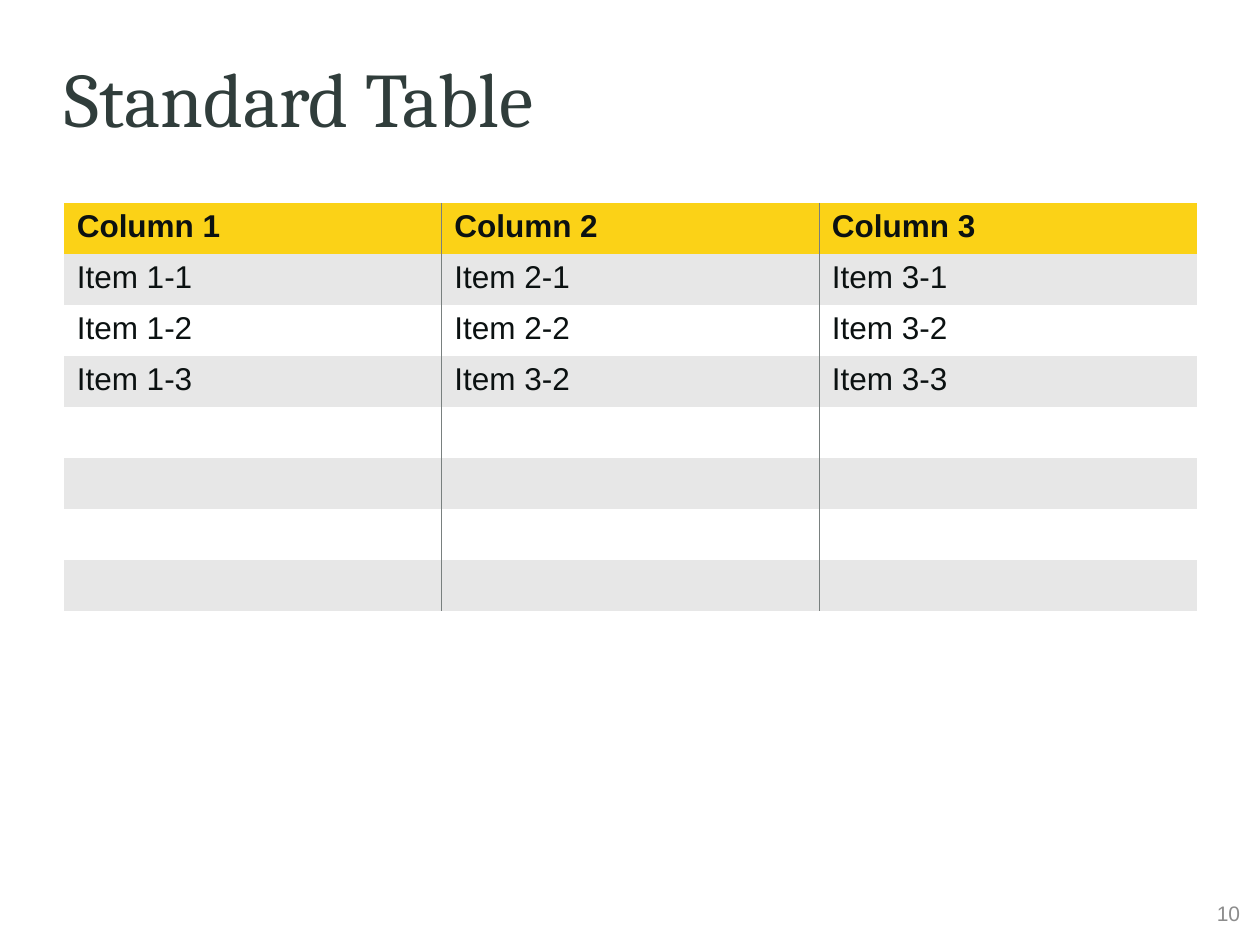
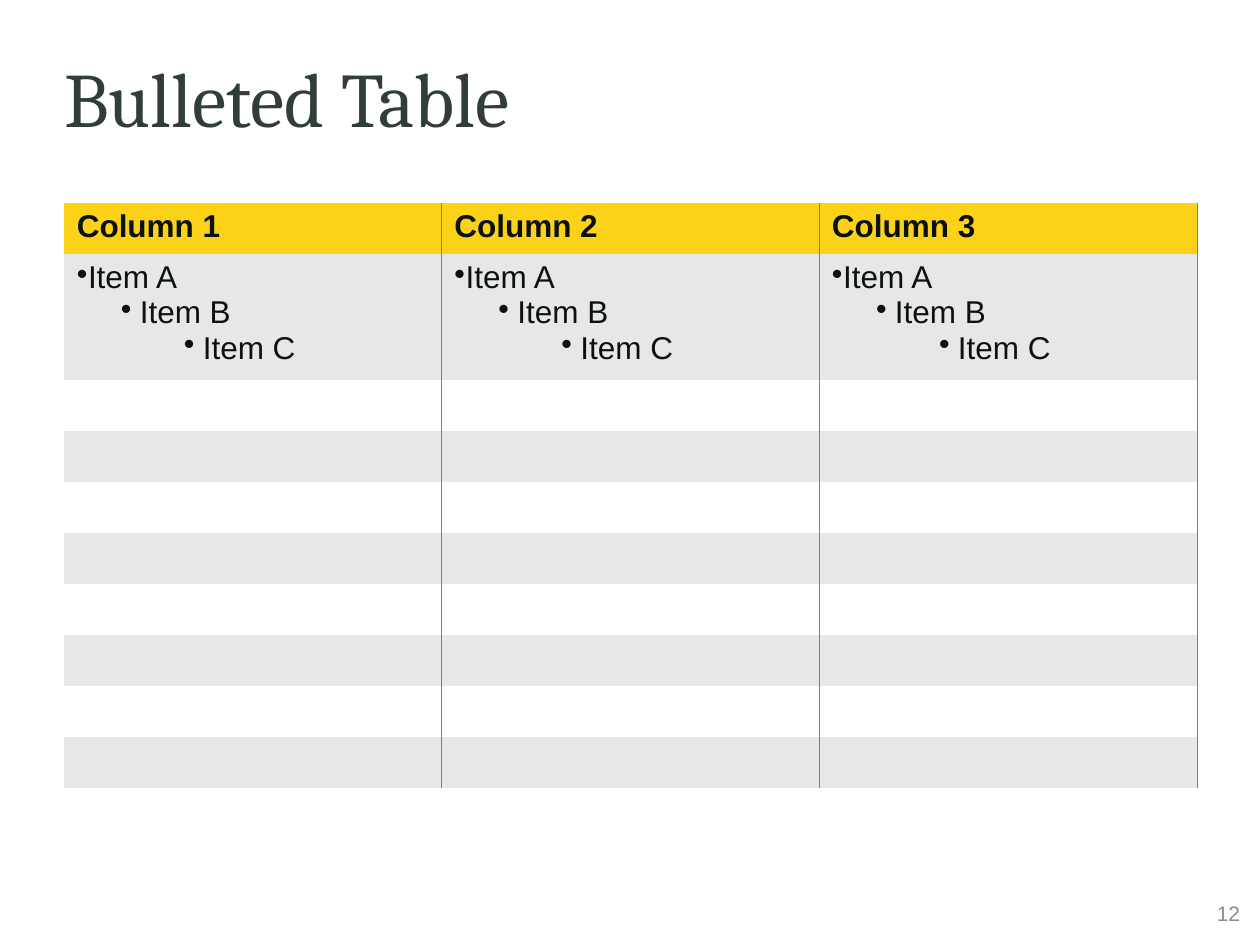
import collections

import lxml.etree
import pptx
import pptx.dml.color
import pptx.enum.text
import pptx.oxml.ns
import pptx.util

RGB = pptx.dml.color.RGBColor
INK = RGB(0x0B, 0x11, 0x11)
PINE = RGB(0x30, 0x3D, 0x3B)
GOLD = RGB(0xFB, 0xD2, 0x17)
SILVER = RGB(0xE7, 0xE7, 0xE7)
WHITE = RGB(0xFF, 0xFF, 0xFF)
GREY = RGB(0x8C, 0x8C, 0x8C)
RULE = RGB(0x79, 0x80, 0x7F)

HEAD_FONT, BODY_FONT = "Cambria", "Arial"
ALIGN = pptx.enum.text.PP_ALIGN
MIDDLE = pptx.enum.text.MSO_ANCHOR.MIDDLE
inch = pptx.util.Inches

WIDE, HIGH = 10, 7.5
LEFT, SPAN = 0.51, 8.99
Box = collections.namedtuple("Box", "x y w h")
TITLE = Box(LEFT, 0.27, SPAN, 1)
TABLE = Box(LEFT, 1.61, SPAN, 3.24)
FOOT = Box(WIDE - 0.5, HIGH - 0.5, 0.5, 0.5)
ROW = TABLE.h / 8
TALL = 0.94

HEADS = [f"Column {n}" for n in (1, 2, 3)]
ITEMS = [
    ["Item 1-1", "Item 2-1", "Item 3-1"],
    ["Item 1-2", "Item 2-2", "Item 3-2"],
    ["Item 1-3", "Item 3-2", "Item 3-3"],
]
# Text, outline level and left margin in inches
BULLETS = [("Item A", 0, 0), ("Item B", 3, 0.5), ("Item C", 5, 1)]
HANG = -0.15


def style(para, size, color, face=BODY_FONT, bold=False):
    font = para.font
    font.size, font.name, font.bold = pptx.util.Pt(size), face, bold
    font.color.rgb = color


def add_text(slide, box, text, size, color, face, align, inset):
    frame = slide.shapes.add_textbox(*map(inch, box)).text_frame
    frame.word_wrap = True
    frame.vertical_anchor = MIDDLE
    frame.margin_left = frame.margin_right = inch(inset)
    frame.margin_top = frame.margin_bottom = inch(inset / 2)
    para = frame.paragraphs[0]
    para.text, para.alignment = text, align
    style(para, size, color, face)


def add_page(deck, title, number):
    """Add a slide with its title and page number."""
    slide = deck.slides.add_slide(deck.slide_layouts[6])
    add_text(slide, FOOT, str(number), 12, GREY, BODY_FONT, ALIGN.CENTER, 0.1)
    add_text(slide, TITLE, title, 44, PINE, HEAD_FONT, ALIGN.LEFT, 0)
    return slide


def set_edges(cell, ruled):
    """Rule the sides named in ruled (of L, R, T, B) and clear the others."""
    props = cell._tc.get_or_add_tcPr()
    tag = pptx.oxml.ns.qn
    for place, side in enumerate("LRTB"):
        line = lxml.etree.Element(tag(f"a:ln{side}"), w=str(pptx.util.Pt(0.5)))
        props.insert(place, line)
        if side in ruled:
            fill = lxml.etree.SubElement(line, tag("a:solidFill"))
            lxml.etree.SubElement(fill, tag("a:srgbClr"), val=str(RULE))
        else:
            lxml.etree.SubElement(line, tag("a:noFill"))


def add_table(slide, box, heights, closed=False):
    """Draw the banded grid with its heads; closed rules the right edge too."""
    shape = slide.shapes.add_table(
        len(heights), len(HEADS), inch(box.x), inch(box.y),
        inch(box.w), inch(sum(heights)))
    table = shape.table
    last = len(HEADS) - 1
    for column in table.columns:
        column.width = inch(box.w / len(HEADS))
    for r, height in enumerate(heights):
        table.rows[r].height = inch(height)
        for c in range(len(HEADS)):
            cell = table.cell(r, c)
            cell.fill.solid()
            cell.fill.fore_color.rgb = (
                GOLD if r == 0 else SILVER if r % 2 else WHITE)
            left = "L" if c > 0 else ""
            right = "R" if c < last or closed else ""
            set_edges(cell, left + right)
            style(cell.text_frame.paragraphs[0], 18, INK, bold=r == 0)
    fill_row(table, 0, HEADS)
    return table


def fill_row(table, r, texts):
    for c, text in enumerate(texts):
        table.cell(r, c).text_frame.paragraphs[0].text = text


def fill_list(cell):
    """Write the three bulleted levels into a cell."""
    frame = cell.text_frame
    for i, (text, level, margin) in enumerate(BULLETS):
        para = frame.add_paragraph() if i else frame.paragraphs[0]
        para.text, para.level = text, level
        style(para, 18, INK)
        props = para._p.get_or_add_pPr()
        props.set("marL", str(inch(margin)))
        props.set("indent", str(inch(HANG)))
        tag = pptx.oxml.ns.qn
        mark = lxml.etree.Element(tag("a:buChar"), char="•")
        props.insert(0, mark)


def standard(deck):
    slide = add_page(deck, "Standard Table", 10)
    table = add_table(slide, TABLE, [ROW] * 8)
    for r, texts in enumerate(ITEMS, 1):
        fill_row(table, r, texts)


def bulleted(deck):
    slide = add_page(deck, "Bulleted Table", 12)
    table = add_table(slide, TABLE, [ROW, TALL] + [ROW] * 8, closed=True)
    for c in range(len(HEADS)):
        fill_list(table.cell(1, c))


def main():
    deck = pptx.Presentation()
    deck.slide_width, deck.slide_height = inch(WIDE), inch(HIGH)
    standard(deck)
    bulleted(deck)
    deck.save("out.pptx")


if __name__ == "__main__":
    main()
